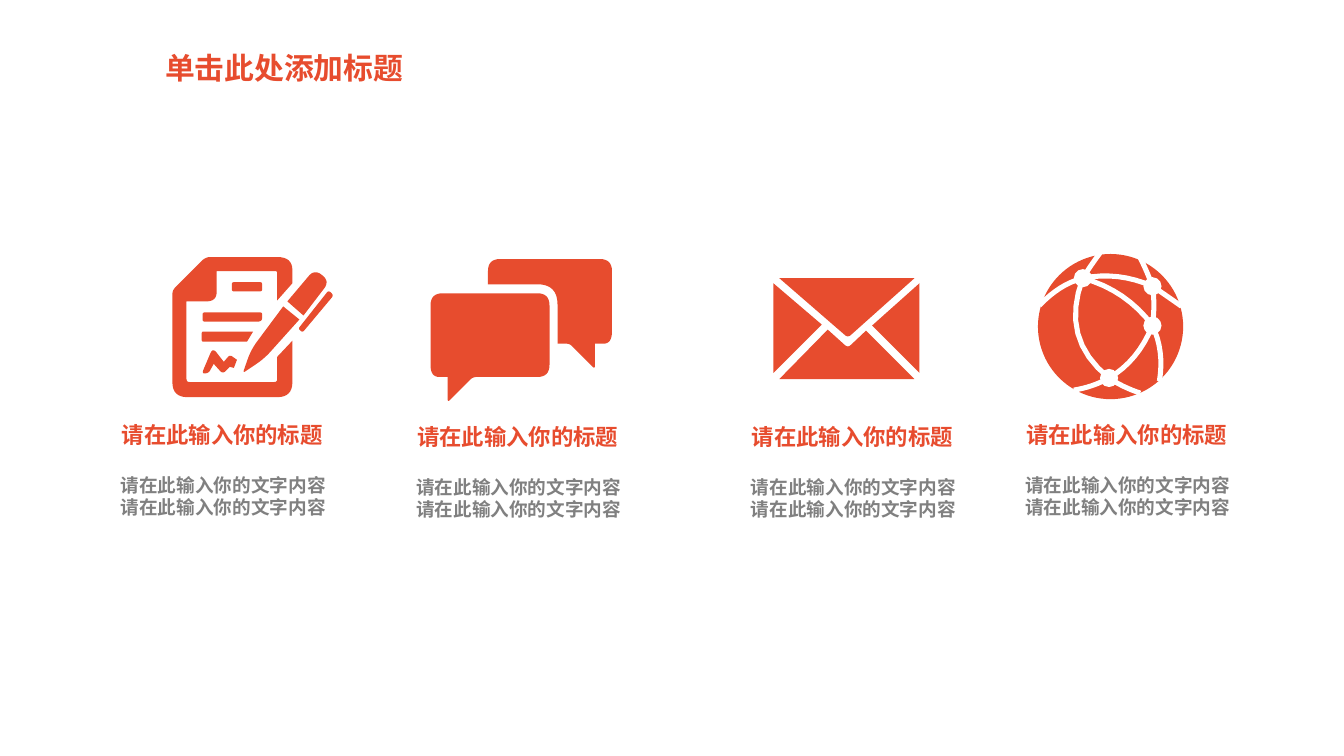
from dataclasses import dataclass
from math import dist

from pptx import Presentation, util as u
from pptx.dml import color
from pptx.enum import shapes, text
from pptx.oxml import ns


@dataclass(frozen=True)
class Theme:
    accent: str = "E74C2E"
    muted: str = "808080"
    paper: str = "FFFFFF"
    font: str = "Noto Sans CJK SC"
    title_font: str = "Roboto Condensed"
    title_size: float = 21.3
    heading_size: float = 16
    body_size: float = 13.3
    leading: float = 1.18
    strand: float = 3.6
    curve_steps: int = 8


COLUMNS, ROWS = 1333, 750

ENVELOPE = [
    [(6, 1), (140, 1), (74, 60, 4)],
    [(6, 101), (54, 52), (74, 70, 4), (92, 53), (140, 101)],
    [(0, 6), (48, 47), (0, 95)],
    [(145, 6), (98, 48), (145, 95)],
]

SIGNED_NOTE = [
    [(105, 43), (105, 14, 2), (45, 14), (45, 44, 10), (15, 44), (15, 124, 3), (105, 124, 3),
     (105, 99), (120, 83), (120, 139, 15), (1, 139, 15), (1, 33, 4), (34, 0, 5), (120, 0, 15),
     (120, 26)],
    [(111, 49), (127, 62), (92, 101, 10), (71, 115, 3), (79, 92, 10)],
    [(115, 44), (131, 58), (157, 24, 9), (142, 12, 9)],
    [(126, 71, 2), (156, 33, 3), (161, 38, 3), (130, 75, 3)],
    [(60, 25, 2), (90, 25, 2), (90, 34, 2), (60, 34, 2)],
    [(31, 55, 2), (90, 55, 2), (90, 64, 4), (31, 64, 2)],
    [(30, 74, 2), (81, 74), (75, 84), (30, 84, 2)],
    [(30, 116, 5), (41, 90, 6), (52, 104), (58, 97, 3), (65, 102), (62, 110), (58, 109),
     (51, 116, 4), (42, 106), (37, 115, 3)],
]

SPEECH_BUBBLES = [
    [(0, 34, 12), (118, 34, 12), (118, 117, 12), (42, 117, 4), (17, 142, 3), (17, 117),
     (0, 117, 12)],
    [(57, 0, 12), (180, 0, 12), (180, 84, 12), (163, 84), (163, 109, 3), (138, 84, 3),
     (126, 84), (126, 25, 20), (57, 25)],
]

WEST, NORTH, EAST, SOUTH = GLOBE_NODES = [(45, 24), (114, 32), (114, 71), (71, 123)]
GLOBE_ARCS = [
    (WEST, (53, 11), (62, -1)), (WEST, (22, 30), (2, 51)), (WEST, (80, 17), NORTH),
    (WEST, (88, 36), EAST), (WEST, (22, 84), SOUTH), (NORTH, (109, 18), (102, 4)),
    (NORTH, (126, 40), (143, 52)), (NORTH, (117, 50), EAST), (EAST, (126, 96), (121, 126)),
    (SOUTH, (100, 106), EAST), (SOUTH, (55, 132), (36, 135)), (SOUTH, (84, 132), (102, 138)),
]
GLOBE_CORNER, GLOBE_CENTER, GLOBE_RADIUS, NODE_RADIUS = (1029, 252), (72.5, 72), 72, 9

ICONS = [(ENVELOPE, (767, 275)), (SIGNED_NOTE, (170, 255)), (SPEECH_BUBBLES, (427, 257))]
CAPTIONS = [(106, 413), (399, 415), (731, 415), (1003, 413)]


class Board:
    """Draws themed outlines, discs, arcs and text on a fine grid of columns and rows."""

    def __init__(self, deck, theme):
        self.theme = theme
        self.slide = deck.slides.add_slide(deck.slide_layouts[6])
        self.column = deck.slide_width / COLUMNS
        self.row = deck.slide_height / ROWS

    def place(self, x, y):
        return round(x * self.column), round(y * self.row)

    def paint(self, shape, ink):
        shape.shadow.inherit = False
        shape.fill.solid()
        shape.fill.fore_color.rgb = color.RGBColor.from_string(ink)
        shape.line.fill.background()

    def bend(self, start, control, end):
        for i in range(self.theme.curve_steps + 1):
            t = i / self.theme.curve_steps
            yield tuple((1 - t) ** 2 * a + 2 * t * (1 - t) * b + t * t * c
                        for a, b, c in zip(start, control, end))

    def rounded(self, outline):
        for i, (x, y, *radius) in enumerate(outline):
            if not radius:
                yield x, y
                continue
            ends = []
            for neighbour in (outline[i - 1][:2], outline[(i + 1) % len(outline)][:2]):
                share = min(radius[0] / dist((x, y), neighbour), 0.5)
                ends.append((x + (neighbour[0] - x) * share, y + (neighbour[1] - y) * share))
            yield from self.bend(ends[0], (x, y), ends[1])

    def freeform(self, points, origin, close):
        start, *rest = [self.place(origin[0] + x, origin[1] + y) for x, y in points]
        builder = self.slide.shapes.build_freeform(*start)
        builder.add_line_segments(rest, close=close)
        return builder.convert_to_shape()

    def icon(self, outlines, origin):
        for outline in outlines:
            self.paint(self.freeform(self.rounded(outline), origin, True), self.theme.accent)

    def disc(self, center, radius, origin, ink):
        corner = [o + c - radius for o, c in zip(origin, center)]
        oval = self.slide.shapes.add_shape(
            shapes.MSO_SHAPE.OVAL, *self.place(*corner), *self.place(2 * radius, 2 * radius))
        self.paint(oval, ink)

    def arc(self, bend_points, origin):
        strand = self.freeform(self.bend(*bend_points), origin, False)
        strand.shadow.inherit = False
        strand.fill.background()
        strand.line.color.rgb = color.RGBColor.from_string(self.theme.paper)
        strand.line.width = u.Pt(self.theme.strand)

    def globe(self, origin):
        self.disc(GLOBE_CENTER, GLOBE_RADIUS, origin, self.theme.accent)
        for bend_points in GLOBE_ARCS:
            self.arc(bend_points, origin)
        for node in GLOBE_NODES:
            self.disc(node, NODE_RADIUS, origin, self.theme.paper)

    def words(self, content, corner, extent, size, ink, font, align=text.PP_ALIGN.CENTER):
        box = self.slide.shapes.add_textbox(*self.place(*corner), *self.place(*extent))
        frame = box.text_frame
        frame.word_wrap = True
        frame.text = content
        for paragraph in frame.paragraphs:
            paragraph.alignment = align
            paragraph.line_spacing = u.Pt(round(size * self.theme.leading, 1))
            for run in paragraph.runs:
                run.font.size = u.Pt(size)
                run.font.bold = True
                run.font.name = font
                run.font.color.rgb = color.RGBColor.from_string(ink)
                east_asian = run.font._element.makeelement(
                    ns.qn("a:ea"), {"typeface": self.theme.font})
                run.font._element.find(ns.qn("a:latin")).addnext(east_asian)


def main():
    theme = Theme()
    deck = Presentation()
    deck.slide_width, deck.slide_height = u.Inches(13.33), u.Inches(7.5)
    board = Board(deck, theme)
    for outlines, corner in ICONS:
        board.icon(outlines, corner)
    board.globe(GLOBE_CORNER)
    for left, top in CAPTIONS:
        board.words("请在此输入你的标题", (left, top), (229, 37),
                    theme.heading_size, theme.accent, theme.font)
        board.words("\n".join(["请在此输入你的文字内容"] * 2), (left, top + 53), (231, 55),
                    theme.body_size, theme.muted, theme.font)
    board.words("单击此处添加标题", (154, 45), (644, 46), theme.title_size, theme.accent,
                theme.title_font, text.PP_ALIGN.LEFT)
    deck.save("out.pptx")


if __name__ == "__main__":
    main()
